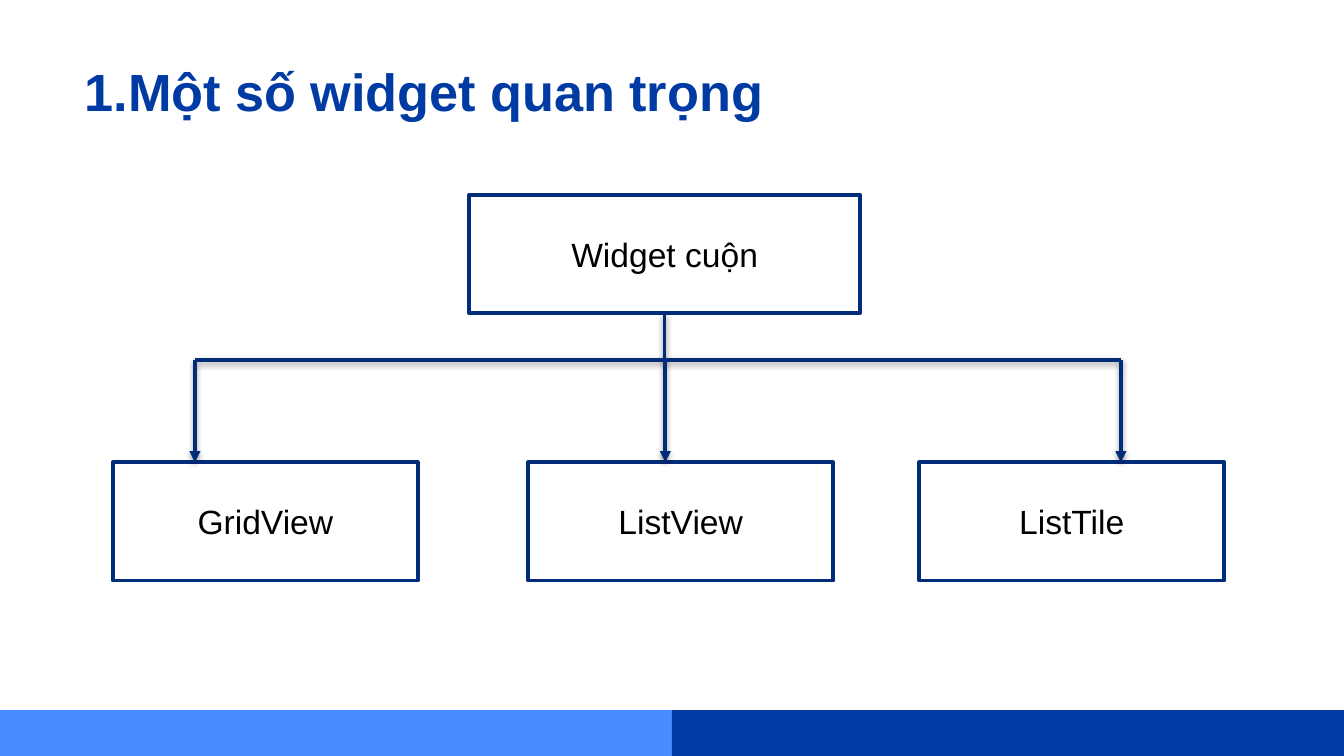
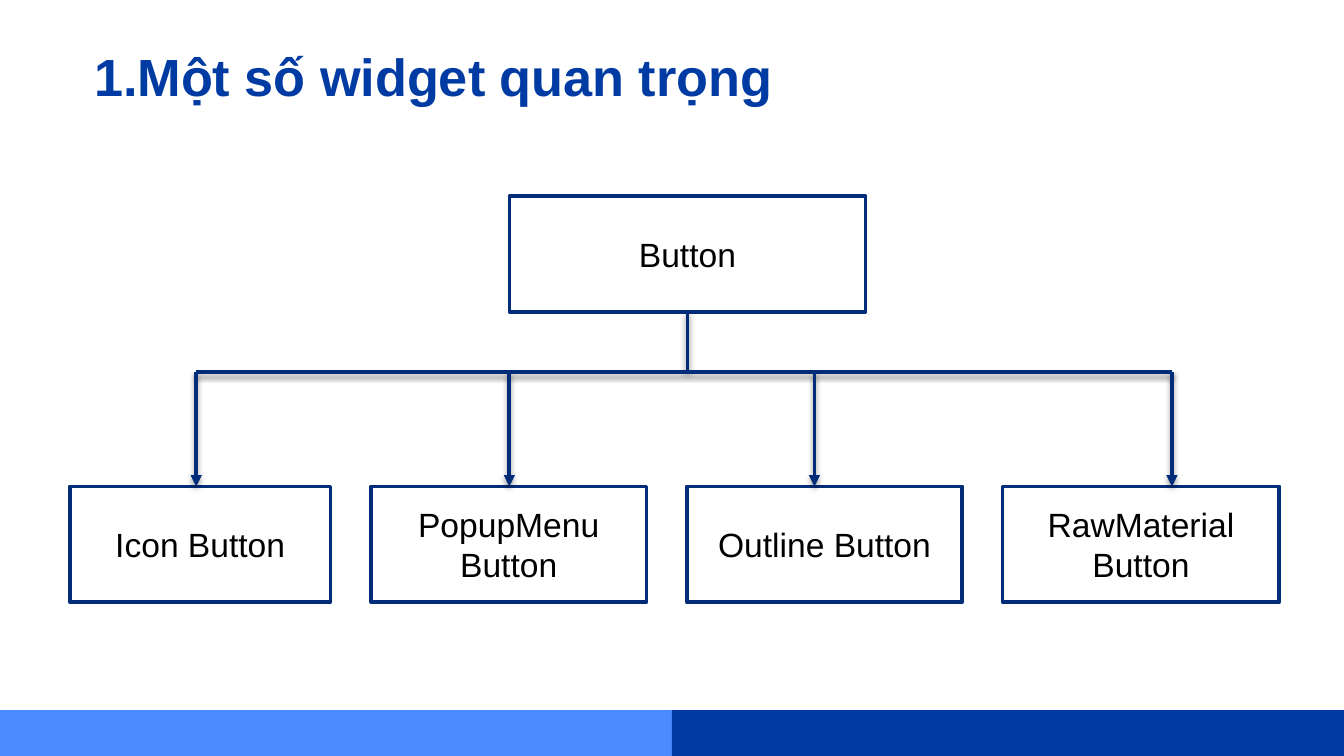
from dataclasses import dataclass

from lxml import etree
from pptx import Presentation
from pptx.dml.color import RGBColor
from pptx.enum import shapes, text
from pptx.oxml import ns
from pptx.util import Inches, Pt


@dataclass(frozen=True)
class Theme:
    font: str = "Arial"
    title: str = "003BA3"
    band_left: str = "4A8CFF"
    band_right: str = "003BA3"
    line: str = "002C7A"
    paper: str = "FFFFFF"
    ink: str = "000000"
    title_size: int = 28
    node_size: int = 18
    line_width: int = 2


THEME = Theme()
WIDTH, HEIGHT = 10, 5.625
BAND_HEIGHT = 0.34
TITLE = "1.Một số widget quan trọng"
TITLE_SIZE = (8.43, 0.63)

# Box: left, top, height. Root: x, width. Child: label, x, width, arrow x.
# Every x is measured from the left of the box, bus from its top.
SLIDES = [
    dict(
        title_at=(0.53, 0.34),
        box=(0.84, 1.45, 2.87),
        root=("Widget cuộn", 2.65, 2.91),
        node_height=0.88,
        bus=1.23,
        children=[
            ("GridView", 0, 2.27, 0.61),
            ("ListView", 3.09, 2.27, 4.11),
            ("ListTile", 6, 2.27, 7.5),
        ],
    ),
    dict(
        title_at=(0.6, 0.23),
        box=(0.52, 1.46, 3.02),
        root=("Button", 3.27, 2.65),
        node_height=0.86,
        bus=1.31,
        children=[
            ("Icon Button", 0, 1.94, 0.94),
            ("PopupMenu Button", 2.24, 2.05, 3.27),
            ("Outline Button", 4.59, 2.05, 5.54),
            ("RawMaterial Button", 6.94, 2.06, 8.2),
        ],
    ),
]


def rgb(value):
    return RGBColor.from_string(value)


def style_run(r, size, color, bold=False):
    r.font.name = THEME.font
    r.font.size = Pt(size)
    r.font.bold = bold
    r.font.color.rgb = rgb(color)


def add_rect(slide, x, y, w, h, fill):
    sp = slide.shapes.add_shape(
        shapes.MSO_SHAPE.RECTANGLE, Inches(x), Inches(y), Inches(w), Inches(h))
    sp.shadow.inherit = False
    sp.fill.solid()
    sp.fill.fore_color.rgb = rgb(fill)
    sp.line.fill.background()
    return sp


def add_node(slide, label, x, y, w, h):
    sp = add_rect(slide, x, y, w, h, THEME.paper)
    sp.line.color.rgb = rgb(THEME.line)
    sp.line.width = Pt(THEME.line_width)
    tf = sp.text_frame
    tf.word_wrap = True
    tf.vertical_anchor = text.MSO_ANCHOR.MIDDLE
    tf.text = label
    p = tf.paragraphs[0]
    p.alignment = text.PP_ALIGN.CENTER
    style_run(p.runs[0], THEME.node_size, THEME.ink)


def add_shadow(sp_pr):
    effects = etree.SubElement(sp_pr, ns.qn("a:effectLst"))
    shadow = etree.SubElement(
        effects, ns.qn("a:outerShdw"), blurRad=str(Pt(3.1)), dist=str(Pt(1.6)),
        dir="5400000", rotWithShape="0")
    color = etree.SubElement(shadow, ns.qn("a:srgbClr"), val=THEME.ink)
    etree.SubElement(color, ns.qn("a:alpha"), val="38000")


def add_line(slide, x1, y1, x2, y2, arrow=False):
    line = slide.shapes.add_connector(
        shapes.MSO_CONNECTOR.STRAIGHT,
        Inches(x1), Inches(y1), Inches(x2), Inches(y2))
    line.line.color.rgb = rgb(THEME.line)
    line.line.width = Pt(THEME.line_width)
    sp_pr = line.element.spPr
    if arrow:
        ln = sp_pr.find(ns.qn("a:ln"))
        etree.SubElement(ln, ns.qn("a:tailEnd"), type="triangle")
    add_shadow(sp_pr)


def move_bands_to_layout(slide):
    """Draw the bottom bands and hand them to the layout all slides share."""
    tree = slide.slide_layout.shapes.element
    half = WIDTH / 2
    for i, color in enumerate((THEME.band_left, THEME.band_right)):
        band = add_rect(slide, i * half, HEIGHT - BAND_HEIGHT,
                        half, BAND_HEIGHT, color)
        band.element.nvSpPr.cNvPr.set("id", str(100 + i))
        tree.append(band.element)


def set_title(slide, x, y):
    title = slide.shapes.title
    w, h = TITLE_SIZE
    title.left, title.top = Inches(x), Inches(y)
    title.width, title.height = Inches(w), Inches(h)
    tf = title.text_frame
    tf.auto_size = text.MSO_AUTO_SIZE.NONE
    tf.word_wrap = True
    tf.vertical_anchor = text.MSO_ANCHOR.TOP
    tf.margin_left = tf.margin_right = Inches(0.1)
    tf.margin_top = tf.margin_bottom = Inches(0.1)
    tf.text = TITLE
    p = tf.paragraphs[0]
    p.alignment = text.PP_ALIGN.LEFT
    style_run(p.runs[0], THEME.title_size, THEME.title, bold=True)


def add_tree(slide, box, root, node_height, bus, children):
    """Draw a root node, a horizontal bus and an arrow down to each child."""
    left, top, height = box
    label, root_x, root_w = root
    bus_y = top + bus
    child_y = top + height - node_height

    add_node(slide, label, left + root_x, top, root_w, node_height)
    for label, x, w, _ in children:
        add_node(slide, label, left + x, child_y, w, node_height)

    stem_x = left + root_x + root_w / 2
    arrows = [left + child[-1] for child in children]
    add_line(slide, stem_x, top + node_height, stem_x, bus_y)
    add_line(slide, arrows[0], bus_y, arrows[-1], bus_y)
    for x in arrows:
        add_line(slide, x, bus_y, x, child_y, arrow=True)


def main():
    prs = Presentation()
    prs.slide_width, prs.slide_height = Inches(WIDTH), Inches(HEIGHT)
    layout = prs.slide_layouts.get_by_name("Title Only")
    for i, content in enumerate(SLIDES):
        slide = prs.slides.add_slide(layout)
        if i == 0:
            move_bands_to_layout(slide)
        tree = dict(content)
        set_title(slide, *tree.pop("title_at"))
        add_tree(slide, **tree)
    prs.save("out.pptx")


if __name__ == "__main__":
    main()
